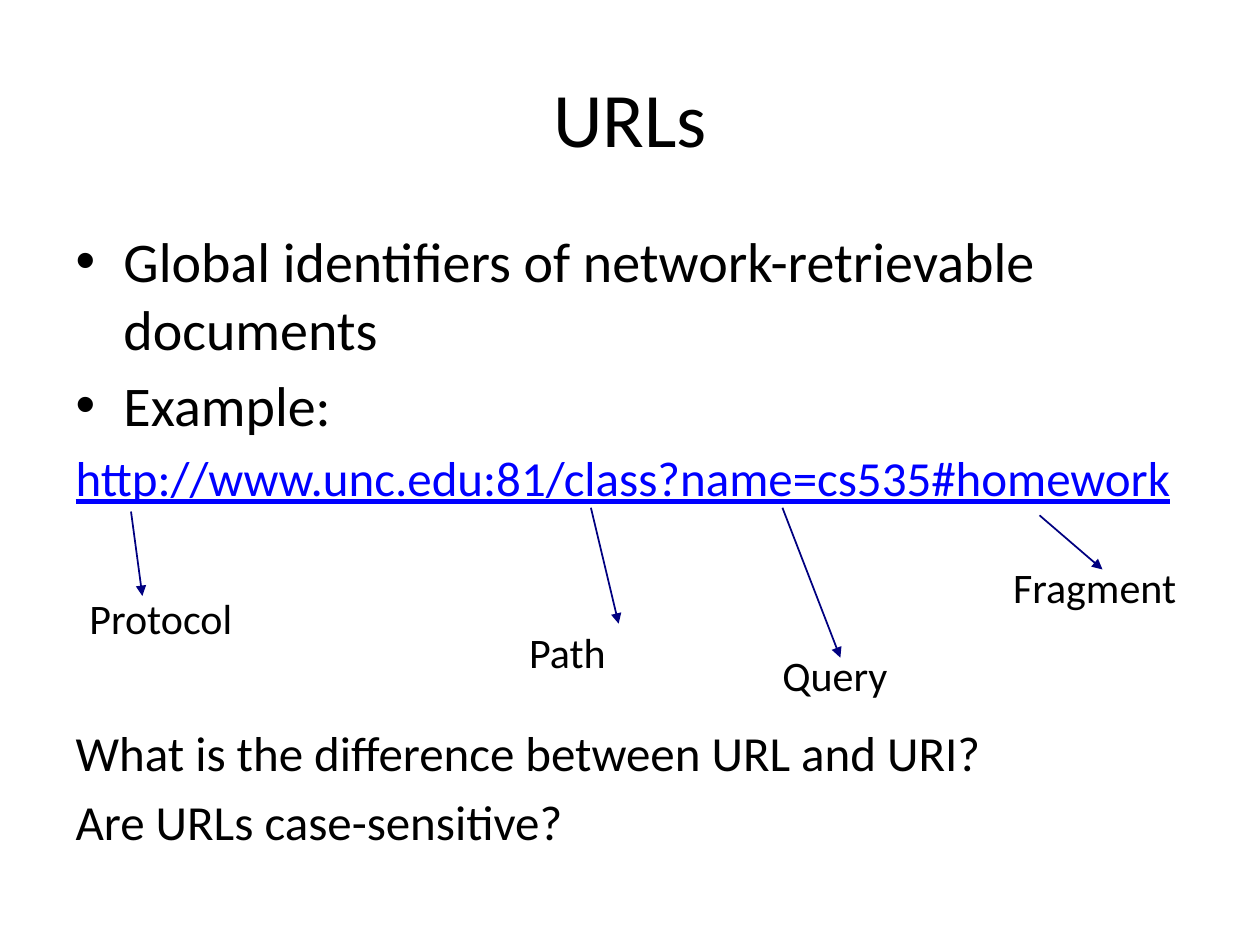
import pptx
import pptx.dml.color
import pptx.enum.shapes
import pptx.enum.text
import pptx.oxml.ns
import pptx.util
from lxml import etree
from pptx.util import Inches

FONT = "Calibri"
BLACK, BLUE, NAVY = "000000", "0000FF", "000080"


def rgb(value):
    return pptx.dml.color.RGBColor.from_string(value)


def add_span(para, text, size, color=BLACK):
    span = para.add_run()
    span.text = text
    span.font.name = FONT
    span.font.size = pptx.util.Pt(size)
    span.font.color.rgb = rgb(color)
    return span


qn = pptx.oxml.ns.qn
deck = pptx.Presentation()
deck.slide_width, deck.slide_height = Inches(10), Inches(7.5)
page = deck.slides.add_slide(deck.slide_layouts[1])

title = page.shapes.title
title.left, title.top, title.width, title.height = map(Inches, (0.5, 0.3, 9, 1.25))
title.text_frame.vertical_anchor = pptx.enum.text.MSO_ANCHOR.MIDDLE
title.text_frame.paragraphs[0].alignment = pptx.enum.text.PP_ALIGN.CENTER
add_span(title.text_frame.paragraphs[0], "URLs", 44)

body = page.placeholders[1]
body.left, body.top, body.width, body.height = map(Inches, (0.5, 1.75, 9, 5.2))
body.text_frame.auto_size = pptx.enum.text.MSO_AUTO_SIZE.NONE

# Text, size, colour, bullet, space before in points; the large space holds the labels
lines = [
    ("Global identifiers of network-retrievable documents", 32, BLACK, True, 0),
    ("Example:", 32, BLACK, True, 5.5),
    ("http://www.unc.edu:81/class?name=cs535#homework", 28, BLUE, False, 5.5),
    ("What is the difference between URL and URI?", 28, BLACK, False, 123.5),
    ("Are URLs case-sensitive?", 28, BLACK, False, 5.5),
]
for index, (text, size, color, bullet, space) in enumerate(lines):
    para = body.text_frame.add_paragraph() if index else body.text_frame.paragraphs[0]
    properties = para._p.get_or_add_pPr()
    properties.set("marL", str(Inches(0.38)))
    properties.set("indent", str(Inches(-0.38)))
    if bullet:
        etree.SubElement(properties, qn("a:buChar"), char="•")
    else:
        etree.SubElement(properties, qn("a:buNone"))
    para.space_before = pptx.util.Pt(space)
    span = add_span(para, text, size, color)
    span.font.underline = color == BLUE

# Label, its left and top, arrow start, arrow end
url_parts = [
    ("Protocol", (0.71, 4.77), (1.04, 4.06), (1.13, 4.73)),
    ("Path", (4.2, 5.04), (4.69, 4.03), (4.91, 4.95)),
    ("Query", (6.21, 5.22), (6.21, 4.03), (6.67, 5.22)),
    ("Fragment", (8.04, 4.52), (8.25, 4.09), (8.75, 4.52)),
]
for label, corner, start, end in url_parts:
    arrow = page.shapes.add_connector(
        pptx.enum.shapes.MSO_CONNECTOR.STRAIGHT, *map(Inches, start + end))
    arrow.line.color.rgb = rgb(NAVY)
    arrow.line.width = pptx.util.Pt(1)
    etree.SubElement(arrow.line._get_or_add_ln(), qn("a:tailEnd"), type="triangle")
    etree.SubElement(arrow._element.spPr, qn("a:effectLst"))

    box = page.shapes.add_textbox(*map(Inches, corner + (1.88, 0.27)))
    frame = box.text_frame
    frame.word_wrap = True
    frame.vertical_anchor = pptx.enum.text.MSO_ANCHOR.MIDDLE
    frame.margin_left = frame.margin_right = frame.margin_top = frame.margin_bottom = 0
    add_span(frame.paragraphs[0], label, 24)

deck.save("out.pptx")
